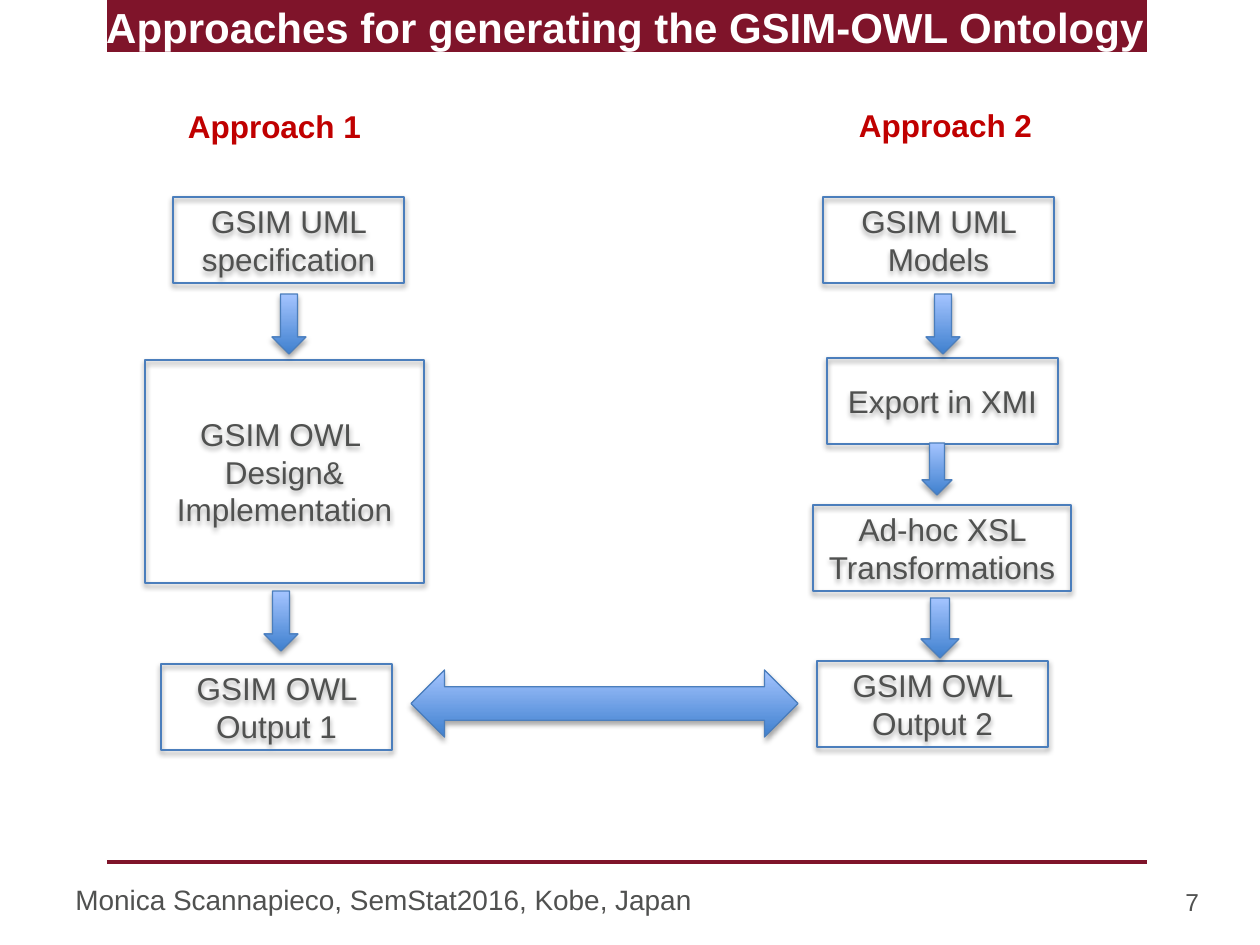
from lxml import etree
from pptx import Presentation
from pptx.dml.color import RGBColor
from pptx.enum.shapes import MSO_CONNECTOR, MSO_SHAPE
from pptx.enum.text import MSO_ANCHOR, PP_ALIGN
from pptx.oxml.ns import qn
from pptx.util import Emu, Pt

RECT, DOWN, BOTH = MSO_SHAPE.RECTANGLE, MSO_SHAPE.DOWN_ARROW, MSO_SHAPE.LEFT_RIGHT_ARROW
STRAIGHT = MSO_CONNECTOR.STRAIGHT
MIDDLE, TOP = MSO_ANCHOR.MIDDLE, MSO_ANCHOR.TOP
CENTER, LEFT = PP_ALIGN.CENTER, PP_ALIGN.LEFT

PX_PER_INCH = 126
FONT = "Arial"
COLORS = {
    "band": "7F142A",
    "title": "FFFFFF",
    "text": "505150",
    "heading": "C00000",
    "outline": "4B7EBC",
    "arrow_dark": "3F80CE",
    "arrow_light": "A4C4FF",
    "shadow": "000000",
}

BOX_W, BOX_H = 231, 86
# left, top, width, height, paragraphs
BOXES = [
    (173, 197, BOX_W, BOX_H, ["GSIM UML specification"]),
    (145, 360, 279, 223, ["GSIM OWL ", "Design&", "Implementation"]),
    (161, 664, BOX_W, BOX_H, ["GSIM OWL Output 1"]),
    (823, 197, BOX_W, BOX_H, ["GSIM UML Models"]),
    (827, 358, BOX_W, BOX_H, ["Export in XMI"]),
    (813, 505, 258, BOX_H, ["Ad-hoc XSL Transformations"]),
    (817, 661, BOX_W, BOX_H, ["GSIM OWL Output 2"]),
]
# preset, left, top, width, height
ARROWS = [
    (DOWN, 272, 294, 34, 60),
    (DOWN, 264, 591, 34, 60),
    (DOWN, 926, 294, 34, 60),
    (DOWN, 922, 443, 30, 52),
    (DOWN, 921, 598, 38, 60),
    (BOTH, 411, 670, 387, 67),
]


def px(n):
    return Emu(round(n * 914400 / PX_PER_INCH))


def rgb(name):
    return RGBColor.from_string(COLORS[name])


def write(tf, lines, size, color, align=LEFT, anchor=TOP, bold=False):
    tf.word_wrap = True
    tf.vertical_anchor = anchor
    for i, line in enumerate(lines):
        p = tf.add_paragraph() if i else tf.paragraphs[0]
        p.alignment = align
        r = p.add_run()
        r.text = line
        r.font.name = FONT
        r.font.size = Pt(size)
        r.font.bold = bold
        r.font.color.rgb = rgb(color)


def add_label(s, x, y, w, h, text, size, color, **style):
    sp = s.shapes.add_textbox(px(x), px(y), px(w), px(h))
    write(sp.text_frame, [text], size, color, **style)


def add_shadow(sp):
    sp.shadow.inherit = False
    effects = sp.element.spPr.find(qn("a:effectLst"))
    shadow = etree.SubElement(effects, qn("a:outerShdw"), blurRad=str(Pt(3.1)),
                              dist=str(Pt(1.8)), dir="5400000", rotWithShape="0")
    color = etree.SubElement(shadow, qn("a:srgbClr"), val=COLORS["shadow"])
    etree.SubElement(color, qn("a:alpha"), val="35000")


def add_outlined(s, preset, x, y, w, h, line_width):
    sp = s.shapes.add_shape(preset, px(x), px(y), px(w), px(h))
    sp.line.color.rgb = rgb("outline")
    sp.line.width = Pt(line_width)
    return sp


def add_box(s, x, y, w, h, lines):
    sp = add_outlined(s, RECT, x, y, w, h, 1.5)
    sp.fill.background()
    add_shadow(sp)
    write(sp.text_frame, lines, 18, "text", align=CENTER, anchor=MIDDLE)


def add_arrow(s, preset, x, y, w, h):
    sp = add_outlined(s, preset, x, y, w, h, 0.75)
    sp.fill.gradient()
    sp.fill.gradient_angle = 90
    for stop, name in zip(sp.fill.gradient_stops, ("arrow_dark", "arrow_light")):
        stop.color.rgb = rgb(name)
    add_shadow(sp)


def add_band(s, x, y, w, h):
    sp = s.shapes.add_shape(RECT, px(x), px(y), px(w), px(h))
    sp.shadow.inherit = False
    sp.fill.solid()
    sp.fill.fore_color.rgb = rgb("band")
    sp.line.fill.background()


def add_rule(s, x1, x2, y):
    line = s.shapes.add_connector(STRAIGHT, px(x1), px(y), px(x2), px(y))
    line.line.color.rgb = rgb("band")
    line.line.width = Pt(2)
    etree.SubElement(line.element.spPr, qn("a:effectLst"))


def main():
    prs = Presentation()
    prs.slide_width, prs.slide_height = px(1260), px(945)
    s = prs.slides.add_slide(prs.slide_layouts[6])

    # Title band and footer rule
    add_band(s, 107, 0, 1040, 52)
    add_rule(s, 107, 1147, 862)
    add_label(s, 73, -5, 1104, 63, "Approaches for generating the GSIM-OWL Ontology",
              24, "title", align=CENTER, bold=True)

    # Column headings
    for x, y, text in ((159, 101, "Approach 1"), (830, 100, "Approach 2")):
        add_label(s, x, y, BOX_W, 50, text, 18, "heading", align=CENTER, bold=True)

    # Flow steps and arrows
    for box in BOXES:
        add_box(s, *box)
    for arrow in ARROWS:
        add_arrow(s, *arrow)

    # Footer
    add_label(s, 63, 876, 766, 50, "Monica Scannapieco, SemStat2016, Kobe, Japan", 16, "text")
    add_label(s, 1173, 881, 89, 50, "7", 14, "text")

    prs.save("out.pptx")


if __name__ == "__main__":
    main()
